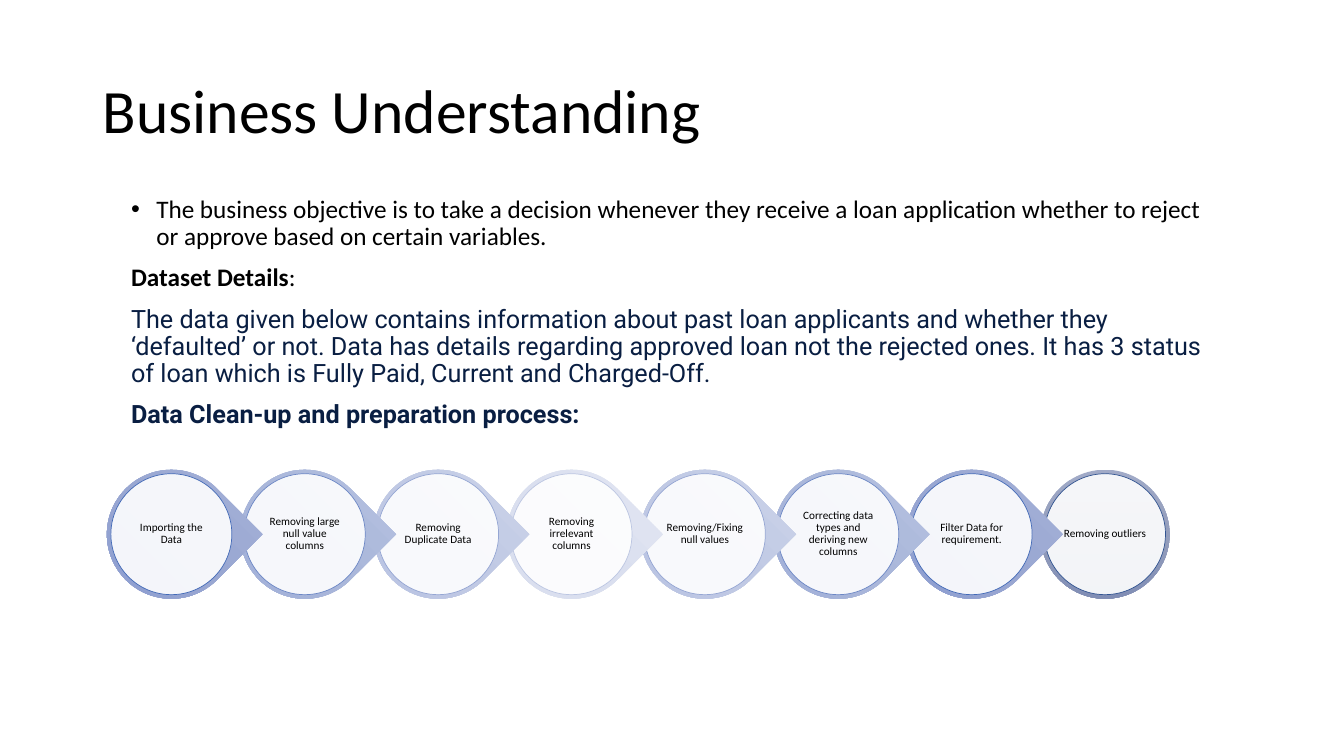
from copy import deepcopy
from dataclasses import dataclass

from lxml import etree
from pptx import Presentation
from pptx import util as u
from pptx.dml.color import RGBColor
from pptx.enum import shapes, text
from pptx.oxml.ns import qn

SHAPE = shapes.MSO_SHAPE
BLACK, NAVY = "000000", "091E42"
FIRST, LAST, TOP, SIZE = 1.06, 10.32, 4.66, 1.28


@dataclass
class Tone:
    stops: tuple[str, str, str]
    line: str


@dataclass
class Step:
    label: str
    tone: Tone


@dataclass
class Run:
    words: str
    font: str = "Calibri"
    color: str = BLACK
    size: float = 18
    bold: bool = False


DEEP = Tone(("A7B3D9", "99A7D2", "8799CF"), "436AB7")
MID = Tone(("B7C2E1", "AAB7DA", "9BABD8"), "6C87C5")
SOFT = Tone(("CDD4EA", "C0C9E4", "B6C2E2"), "95A6D3")
PALE = Tone(("E6EAF4", "DADFEF", "D5DBEE"), "BCC6E2")
DARK = Tone(("A1AAC7", "949EBC", "818EB5"), "325491")

STEPS = [
    Step("Importing the Data", DEEP),
    Step("Removing large null value columns", MID),
    Step("Removing Duplicate Data", SOFT),
    Step("Removing irrelevant columns", PALE),
    Step("Removing/Fixing null values", SOFT),
    Step("Correcting data types and deriving new columns", MID),
    Step("Filter Data for requirement.", DEEP),
    Step("Removing outliers", DARK),
]

BODY = [
    [Run("The business objective is to take a decision whenever they receive a loan "
         "application whether to reject or approve based on certain variables.")],
    [Run("Dataset Details", bold=True), Run(":")],
    [Run("The data given below contains information about past loan applicants and "
         "whether they ‘defaulted’ or not. Data has details regarding approved loan not "
         "the rejected ones. It has 3 status of loan which is Fully Paid, Current and "
         "Charged-Off.", "Roboto", NAVY)],
    [Run("Data Clean-up and preparation process:", "Roboto", NAVY, bold=True)],
]


def put(item, values: dict) -> None:
    """Set each named attribute of item."""
    for name, value in values.items():
        setattr(item, name, value)


def paint(color, code: str) -> None:
    color.rgb = RGBColor.from_string(code)


def place(shape, left: float, top: float, width: float, height: float) -> None:
    put(shape, {"left": u.Inches(left), "top": u.Inches(top),
                "width": u.Inches(width), "height": u.Inches(height)})


def write(para, runs: list[Run], **form) -> None:
    put(para, {"line_spacing": 0.9, **form})
    for run in runs:
        part = para.add_run()
        part.text = run.words
        put(part.font, {"name": run.font, "size": u.Pt(run.size), "bold": run.bold})
        paint(part.font.color, run.color)


def indent(para, left: float, hang: float, mark: str = "") -> None:
    """Set the indents and the bullet; no mark means no bullet."""
    props = para._p.get_or_add_pPr()
    props.set("marL", str(u.Inches(left)))
    props.set("indent", str(u.Inches(hang)))
    if mark:
        etree.SubElement(props, qn("a:buFont")).set("typeface", "Arial")
        etree.SubElement(props, qn("a:buChar")).set("char", mark)
    else:
        etree.SubElement(props, qn("a:buNone"))


def blend(shape, codes: tuple[str, str, str]) -> None:
    """Fill from top to bottom with three evenly spaced colours."""
    shape.fill.gradient()
    shape.fill.gradient_angle = 270
    stops = shape.fill._fill._gradFill.find(qn("a:gsLst"))
    stops.insert(1, deepcopy(stops[0]))
    for i, (stop, code) in enumerate(zip(shape.fill.gradient_stops, codes)):
        stop.position = i / 2
        paint(stop.color, code)


def square(slide, kind, left: float, inset: float):
    side = SIZE - 2 * inset
    shape = slide.shapes.add_shape(kind, *map(u.Inches, (left + inset, TOP + inset, side, side)))
    shape.shadow.inherit = False
    return shape


def draw(slide, step: Step, left: float, final: bool) -> None:
    ring = square(slide, SHAPE.OVAL if final else SHAPE.TEAR, left, 0)
    blend(ring, step.tone.stops)
    ring.line.fill.background()
    if not final:
        ring.rotation = 45

    disc = square(slide, SHAPE.OVAL, left, 0.04)
    disc.fill.solid()
    paint(disc.fill.fore_color, "FFFFFF")
    tint = disc.fill._xPr.find(qn("a:solidFill"))[0]
    etree.SubElement(tint, qn("a:alpha")).set("val", "90000")
    paint(disc.line.color, step.tone.line)
    disc.line.width = u.Pt(0.5)

    side = 0.85
    gap = (SIZE - side) / 2
    box = slide.shapes.add_textbox(*map(u.Inches, (left + gap, TOP + gap, side, side)))
    frame = box.text_frame
    put(frame, {"word_wrap": True, "vertical_anchor": text.MSO_ANCHOR.MIDDLE})
    put(frame, {f"margin_{edge}": u.Inches(0.01) for edge in ("left", "top", "right", "bottom")})
    write(frame.paragraphs[0], [Run(step.label, size=8)], alignment=text.PP_ALIGN.CENTER)


def main() -> None:
    deck = Presentation()
    put(deck, {"slide_width": u.Inches(13.33), "slide_height": u.Inches(7.5)})
    slide = deck.slides.add_slide(deck.slide_layouts[1])
    title, body = slide.placeholders

    place(title, 0.92, 0.4, 11.5, 1.45)
    put(title.text_frame, {"vertical_anchor": text.MSO_ANCHOR.MIDDLE,
                           "auto_size": text.MSO_AUTO_SIZE.NONE})
    write(title.text_frame.paragraphs[0], [Run("Business Understanding", size=44)],
          alignment=text.PP_ALIGN.LEFT)

    place(body, 1.2, 1.9, 11, 4.4)
    frame = body.text_frame
    frame.auto_size = text.MSO_AUTO_SIZE.NONE
    for i, runs in enumerate(BODY):
        para = frame.add_paragraph() if i else frame.paragraphs[0]
        write(para, runs, space_before=u.Pt(10))
        indent(para, *((0, 0) if i else (0.25, -0.25, "•")))

    end = len(STEPS) - 1
    pitch = (LAST - FIRST) / end
    for i, step in reversed(list(enumerate(STEPS))):
        draw(slide, step, FIRST + i * pitch, i == end)

    deck.save("out.pptx")


if __name__ == "__main__":
    main()
